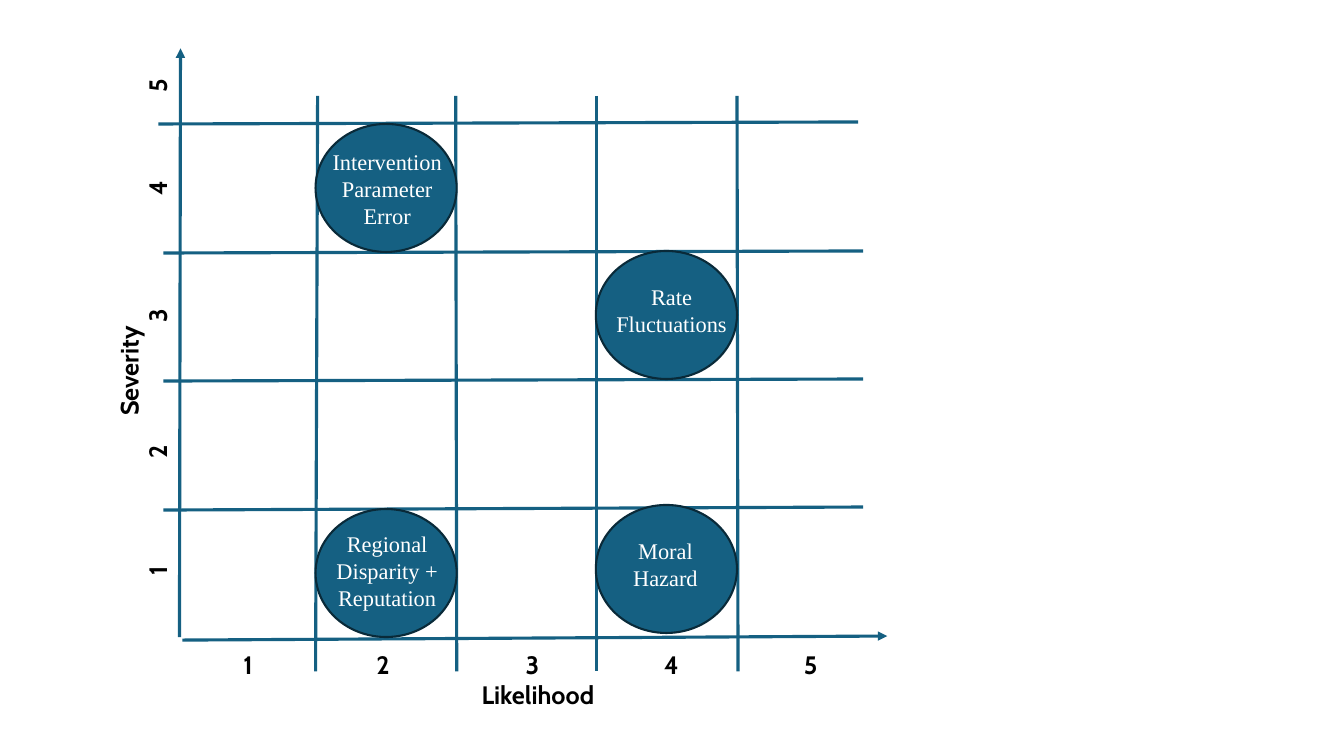
from dataclasses import dataclass

from lxml.etree import SubElement
from pptx import Presentation
from pptx.dml.color import RGBColor
from pptx.enum.shapes import MSO_CONNECTOR, MSO_SHAPE
from pptx.enum.text import MSO_AUTO_SIZE, PP_ALIGN
from pptx.oxml.ns import qn
from pptx.slide import Slide
from pptx.util import Inches, Pt

BLUE = "156082"
DARK_BLUE = "092A39"
LABEL_FORMAT = {"name": "Cabin", "size": Pt(18), "bold": True}
RISK_FORMAT = {"name": "Times New Roman", "size": Pt(16)}
CIRCLE_WIDTH, CIRCLE_HEIGHT = 1.4, 1.27
RISK_TEXT_WIDTH = 1.42
TICK_WIDTH, LABEL_HEIGHT, TITLE_WIDTH = 0.36, 0.4, 3.43


@dataclass(frozen=True)
class Line:
    start_x: float
    start_y: float
    end_x: float
    end_y: float
    arrow: bool = False


@dataclass(frozen=True)
class Label:
    text: str
    left: float
    top: float
    width: float
    height: float = LABEL_HEIGHT
    rotation: int = 0


@dataclass(frozen=True)
class Risk:
    circle_left: float
    circle_top: float
    label: Label


AXES = [Line(1.78, 6.32, 1.79, 0.48, True), Line(1.81, 6.35, 8.8, 6.31, True)]
COLUMN_LINES = [
    Line(top_x, 0.95, bottom_x, 6.66)
    for top_x, bottom_x in [(3.15, 3.13), (4.52, 4.53), (5.92, 5.92), (7.31, 7.32)]
]
ROW_LINES = [
    Line(left, start_y, left + 6.94, end_y)
    for left, start_y, end_y in [
        (1.62, 5.06, 5.03), (1.62, 3.78, 3.76), (1.62, 2.51, 2.49), (1.57, 1.23, 1.21),
    ]
]
AXIS_TITLES = [
    Label("Likelihood", 3.62, 6.69, TITLE_WIDTH),
    Label("Severity", -0.44, 3.48, TITLE_WIDTH, rotation=270),
]
LIKELIHOOD_TICKS = [
    Label(str(score), left, 6.39, TICK_WIDTH)
    for score, left in enumerate([2.28, 3.62, 5.1, 6.48, 7.86], start=1)
]
SEVERITY_TICKS = [
    Label(str(score), 1.38, top, TICK_WIDTH, rotation=270)
    for score, top in enumerate([5.46, 4.28, 2.93, 1.67, 0.65], start=1)
]
RISKS = [
    Risk(3.13, 1.23, Label("Intervention Parameter Error", 3.13, 1.42, RISK_TEXT_WIDTH, 0.91)),
    Risk(5.91, 5.01, Label("Moral Hazard", 5.89, 5.28, RISK_TEXT_WIDTH, 0.64)),
    Risk(5.91, 2.49, Label("Rate Fluctuations", 5.95, 2.76, RISK_TEXT_WIDTH, 0.64)),
    Risk(3.13, 5.05, Label("Regional Disparity + Reputation", 3.13, 5.21, RISK_TEXT_WIDTH, 0.91)),
]


def color(value: str) -> RGBColor:
    return RGBColor.from_string(value)


def draw_line(slide: Slide, line: Line) -> None:
    connector = slide.shapes.add_connector(
        MSO_CONNECTOR.STRAIGHT,
        Inches(line.start_x), Inches(line.start_y), Inches(line.end_x), Inches(line.end_y),
    )
    connector.line.color.rgb = color(BLUE)
    connector.line.width = Pt(2.25)
    if line.arrow:
        SubElement(connector.line._get_or_add_ln(), qn("a:tailEnd"), type="triangle")
    SubElement(connector._element.spPr, qn("a:effectLst"))


def draw_label(slide: Slide, label: Label, font_format: dict, font_color: str) -> None:
    text_box = slide.shapes.add_textbox(
        Inches(label.left), Inches(label.top), Inches(label.width), Inches(label.height)
    )
    text_box.rotation = label.rotation
    frame = text_box.text_frame
    frame.word_wrap = True
    frame.auto_size = MSO_AUTO_SIZE.SHAPE_TO_FIT_TEXT
    paragraph = frame.paragraphs[0]
    paragraph.alignment = PP_ALIGN.CENTER
    run = paragraph.add_run()
    run.text = label.text
    for attribute, value in font_format.items():
        setattr(run.font, attribute, value)
    run.font.color.rgb = color(font_color)


def draw_circle(slide: Slide, risk: Risk) -> None:
    circle = slide.shapes.add_shape(
        MSO_SHAPE.OVAL,
        Inches(risk.circle_left), Inches(risk.circle_top),
        Inches(CIRCLE_WIDTH), Inches(CIRCLE_HEIGHT),
    )
    circle.shadow.inherit = False
    circle.fill.solid()
    circle.fill.fore_color.rgb = color(BLUE)
    circle.line.color.rgb = color(DARK_BLUE)
    circle.line.width = Pt(1.5)


def main() -> None:
    presentation = Presentation()
    presentation.slide_width = Inches(13.33)
    presentation.slide_height = Inches(7.5)
    slide = presentation.slides.add_slide(presentation.slide_layouts[6])
    for line in AXES + COLUMN_LINES + ROW_LINES:
        draw_line(slide, line)
    for label in AXIS_TITLES + LIKELIHOOD_TICKS + SEVERITY_TICKS:
        draw_label(slide, label, LABEL_FORMAT, "000000")
    for risk in RISKS:
        draw_circle(slide, risk)
        draw_label(slide, risk.label, RISK_FORMAT, "FFFFFF")
    presentation.save("out.pptx")


if __name__ == "__main__":
    main()
